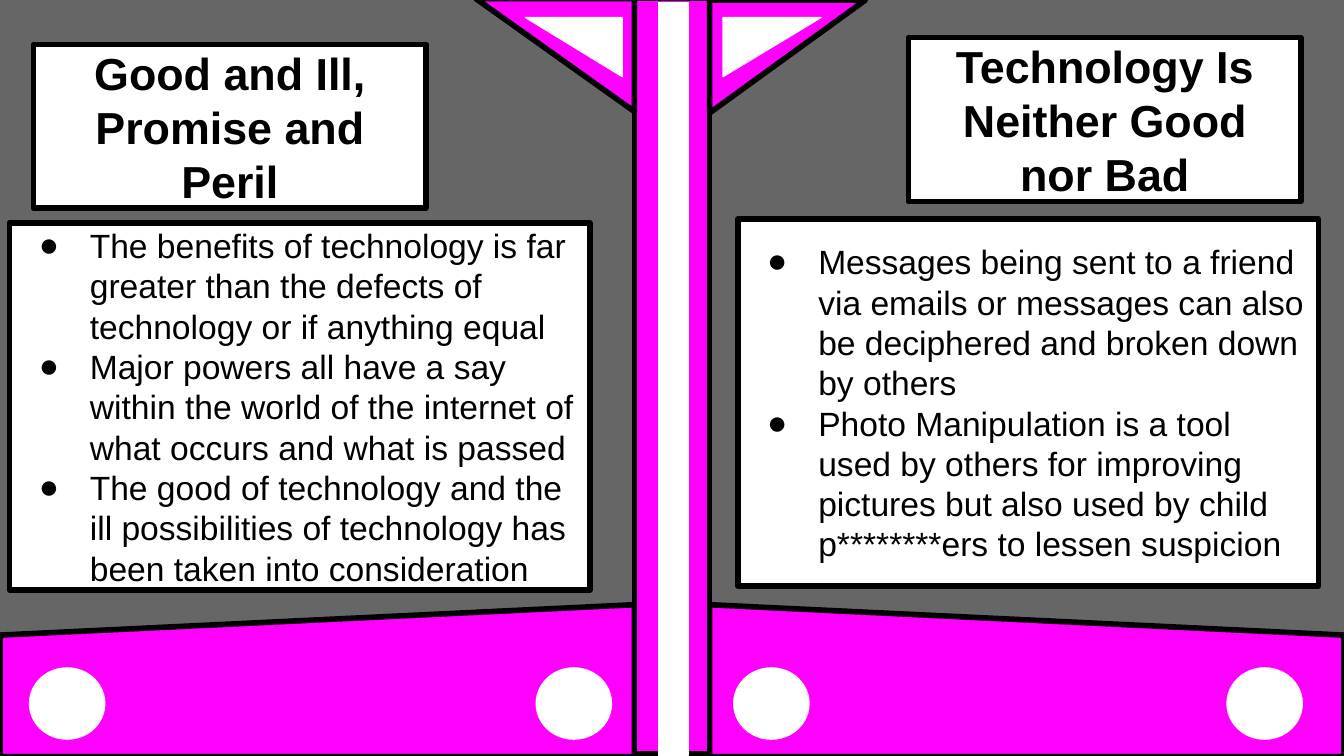
from typing import NamedTuple

from lxml.etree import SubElement
from pptx import Presentation
from pptx.dml.color import RGBColor
from pptx.enum.shapes import MSO_SHAPE as Preset
from pptx.enum.text import MSO_ANCHOR as Anchor, PP_ALIGN as Align
from pptx.oxml.ns import qn
from pptx.util import Inches, Pt

GRAY = RGBColor(0x66, 0x66, 0x66)
MAGENTA = RGBColor(0xFF, 0x00, 0xFF)
BLACK = RGBColor(0x00, 0x00, 0x00)
WHITE = RGBColor(0xFF, 0xFF, 0xFF)

WIDTH = 10
HEIGHT = WIDTH * 9 / 16
THIN, THICK = 0.75, 3


class Box(NamedTuple):
    left: float
    top: float
    width: float
    height: float


class Piece(NamedTuple):
    preset: Preset
    box: Box
    fill: RGBColor
    line: RGBColor
    weight: float = THIN
    rotation: float = 0
    flipped: bool = False


class Page(NamedTuple):
    title: str
    title_box: Box
    points: list[str]
    points_box: Box


def draw(slide, piece: Piece):
    shape = slide.shapes.add_shape(piece.preset, *map(Inches, piece.box))
    shape.shadow.inherit = False
    shape.fill.solid()
    shape.fill.fore_color.rgb = piece.fill
    shape.line.color.rgb = piece.line
    shape.line.width = Pt(piece.weight)
    shape.rotation = piece.rotation
    if piece.flipped:
        shape._element.spPr.xfrm.set("flipH", "1")
    return shape


def add_bullet(paragraph) -> None:
    properties = paragraph._p.get_or_add_pPr()
    properties.set("marL", str(Inches(0.5)))
    properties.set("indent", str(-Inches(0.38)))
    color = SubElement(properties, qn("a:buClr"))
    SubElement(color, qn("a:srgbClr"), val=str(BLACK))
    SubElement(properties, qn("a:buFont"), typeface="Arial")
    SubElement(properties, qn("a:buChar"), char="●")


def write(shape, lines: list[str], *, size: float, bold: bool = False,
          align: Align = Align.LEFT, bulleted: bool = False) -> None:
    frame = shape.text_frame
    frame.word_wrap = True
    frame.vertical_anchor = Anchor.MIDDLE
    frame.margin_left = frame.margin_right = Inches(0.1)
    frame.margin_top = frame.margin_bottom = Inches(0.1)
    for index, line in enumerate(lines):
        paragraph = frame.add_paragraph() if index else frame.paragraphs[0]
        paragraph.alignment = align
        if bulleted:
            add_bullet(paragraph)
        run = paragraph.add_run()
        run.text = line
        run.font.name = "Arial"
        run.font.size = Pt(size)
        run.font.bold = bold
        run.font.color.rgb = BLACK


def draw_page(slide, page: Page) -> None:
    title, points = (
        draw(slide, Piece(Preset.RECTANGLE, box, WHITE, BLACK, THICK))
        for box in (page.title_box, page.points_box)
    )
    write(title, [page.title], size=24, bold=True, align=Align.CENTER)
    write(points, page.points, size=18, bulleted=True)


# Backdrop, lower covers, spine and upper corners, from back to front
COVER, CORNER = Preset.FLOWCHART_MANUAL_INPUT, Preset.RIGHT_TRIANGLE
MAGENTA_STYLE = (MAGENTA, BLACK, THICK)
WHITE_STYLE = (WHITE, WHITE, THIN)
FRAME = [
    Piece(Preset.RECTANGLE, Box(0, 0, WIDTH, HEIGHT), GRAY, GRAY),
    Piece(COVER, Box(0, 4.5, 4.72, 1.13), *MAGENTA_STYLE),
    Piece(COVER, Box(5.28, 4.5, 4.72, 1.13), *MAGENTA_STYLE, flipped=True),
    Piece(Preset.RECTANGLE, Box(4.72, -0.01, 0.56, 5.62), *MAGENTA_STYLE),
    Piece(CORNER, Box(5.44, -0.16, 0.84, 1.16), *MAGENTA_STYLE, rotation=90),
    Piece(CORNER, Box(3.71, -0.18, 0.84, 1.18), *MAGENTA_STYLE,
          rotation=270, flipped=True),
    Piece(Preset.RECTANGLE, Box(4.9, 0.02, 0.22, 5.6), *WHITE_STYLE),
    Piece(CORNER, Box(3.91, 0.13, 0.72, 0.44), *WHITE_STYLE, rotation=180),
    Piece(CORNER, Box(5.38, 0.13, 0.73, 0.44), *WHITE_STYLE,
          rotation=180, flipped=True),
]
LIGHT_LEFTS = (0.22, 3.99, 5.46, 9.13)

PAGES = [
    Page(
        "Good and Ill, Promise and Peril",
        Box(0.25, 0.33, 2.92, 1.22),
        [
            "The benefits of technology is far greater than the defects of "
            "technology or if anything equal",
            "Major powers all have a say within the world of the internet of "
            "what occurs and what is passed",
            "The good of technology and the ill possibilities of technology "
            "has been taken into consideration",
        ],
        Box(0.07, 1.66, 4.32, 2.73),
    ),
    Page(
        "Technology Is Neither Good nor Bad",
        Box(6.76, 0.28, 2.92, 1.22),
        [
            "Messages being sent to a friend via emails or messages can also "
            "be deciphered and broken down by others",
            "Photo Manipulation is a tool used by others for improving "
            "pictures but also used by child p********ers to lessen suspicion",
        ],
        Box(5.49, 1.63, 4.32, 2.73),
    ),
]


def main() -> None:
    deck = Presentation()
    deck.slide_width, deck.slide_height = Inches(WIDTH), Inches(HEIGHT)
    slide = deck.slides.add_slide(deck.slide_layouts[6])

    for piece in FRAME:
        draw(slide, piece)

    # Round lights on the lower covers
    for left in LIGHT_LEFTS:
        draw(slide, Piece(Preset.OVAL, Box(left, 4.97, 0.56, 0.53), *WHITE_STYLE))

    for page in PAGES:
        draw_page(slide, page)

    deck.save("out.pptx")


if __name__ == "__main__":
    main()
